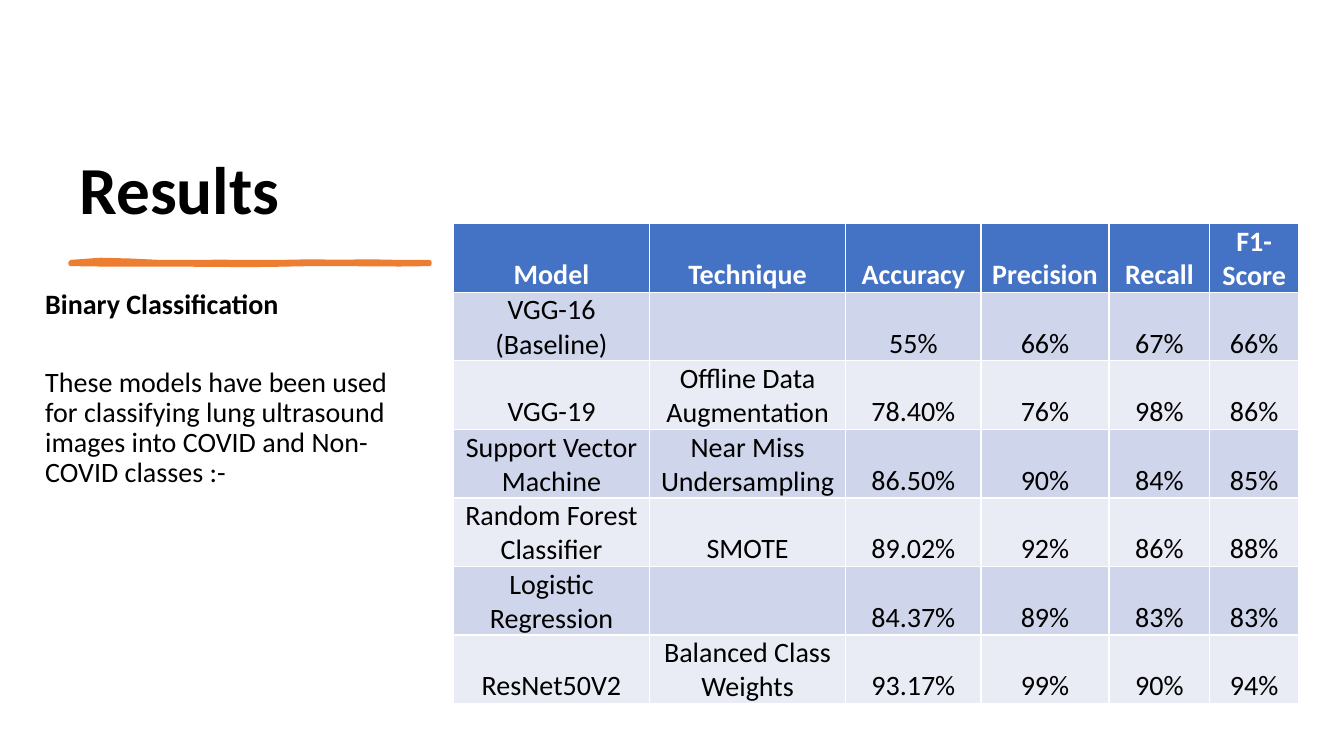
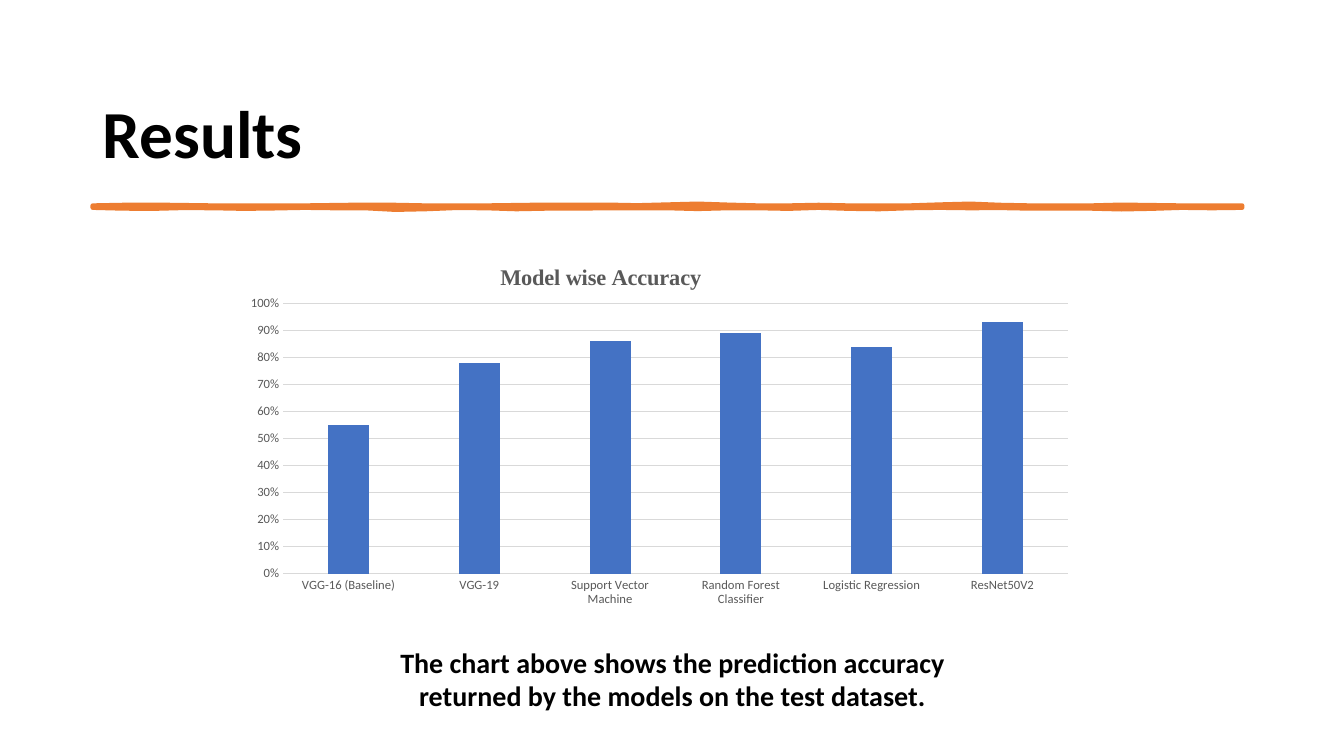
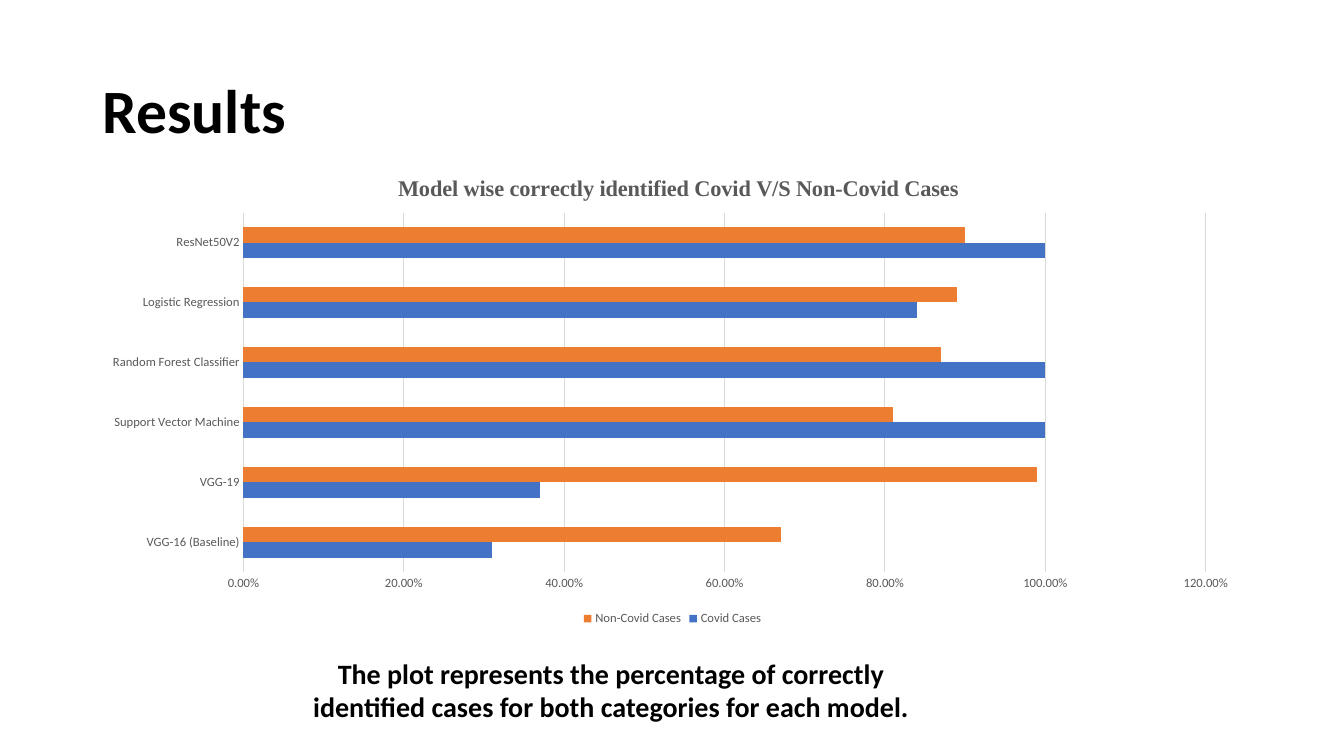
"""Build three slides of lung ultrasound classification results."""
from dataclasses import dataclass

from lxml.etree import Element, SubElement
from pptx import Presentation
from pptx.chart.data import CategoryChartData
from pptx.dml.color import RGBColor
from pptx.enum.chart import XL_CHART_TYPE, XL_LEGEND_POSITION, XL_TICK_MARK
from pptx.enum.text import MSO_ANCHOR, PP_ALIGN
from pptx.oxml.ns import qn
from pptx.util import Pt

PX = 9144


@dataclass(frozen=True)
class Theme:
    black: RGBColor = RGBColor.from_string("000000")
    white: RGBColor = RGBColor.from_string("FFFFFF")
    blue: RGBColor = RGBColor.from_string("4472C4")
    orange: RGBColor = RGBColor.from_string("ED7D31")
    gray: RGBColor = RGBColor.from_string("595959")
    grid: RGBColor = RGBColor.from_string("D9D9D9")
    dark: RGBColor = RGBColor.from_string("CFD5EA")
    light: RGBColor = RGBColor.from_string("E9EBF5")
    face: str = "Calibri"
    serif: str = "Times New Roman"
    big: int = 48
    mid: int = 44
    body: int = 20
    head: int = 16
    small: int = 10
    tick: int = 9


T = Theme()


def style(font, size, color=T.black, bold=False, face=T.face):
    font.name, font.size, font.bold = face, Pt(size), bold
    font.color.rgb = color


def pin(part, **spot):
    old = part.find(qn("c:layout"))
    if old is not None:
        part.remove(old)
    layout = Element(qn("c:layout"))
    part.insert(len(part.findall(qn("c:tx"))), layout)
    manual = SubElement(layout, qn("c:manualLayout"))
    if "w" in spot:
        SubElement(manual, qn("c:layoutTarget")).set("val", "inner")
    for key in ("x", "y"):
        SubElement(manual, qn(f"c:{key}Mode")).set("val", "edge")
    for key, value in spot.items():
        SubElement(manual, qn(f"c:{key}")).set("val", str(value))


deck = Presentation()
deck.slide_width, deck.slide_height = 1333 * PX, 750 * PX
slides = [deck.slides.add_slide(deck.slide_layouts[6]) for _ in range(3)]
first, second, third = slides

bottom, middle, top = MSO_ANCHOR.BOTTOM, MSO_ANCHOR.MIDDLE, MSO_ANCHOR.TOP
left, center = PP_ALIGN.LEFT, PP_ALIGN.CENTER
title = "Results"
intro = [
    ("Binary Classification", True),
    ("These models have been used for classifying lung ultrasound images "
     "into COVID and Non-COVID classes :-", False),
]
above = "The chart above shows the prediction accuracy returned by the models on the test dataset."
plot = "The plot represents the percentage of correctly identified cases for both categories for each model."
boxes = [
    (first, (69, 70, 527, 162), bottom, left, T.big, 0.9, [(title, True)]),
    (first, (35, 283, 379, 388), top, left, T.body, 0.9, intro),
    (second, (92, 63, 1150, 145), middle, left, T.big, 0.9, [(title, True)]),
    (second, (343, 635, 648, 77), top, center, T.body, 1.0, [(above, True)]),
    (third, (92, 40, 1150, 145), middle, left, T.mid, 0.9, [(title, True)]),
    (third, (282, 646, 648, 77), top, center, T.body, 1.0, [(plot, True)]),
]
for slide, spot, anchor, align, size, space, lines in boxes:
    frame = slide.shapes.add_textbox(*(n * PX for n in spot)).text_frame
    frame.word_wrap, frame.vertical_anchor = True, anchor
    for i, (words, bold) in enumerate(lines):
        para = frame.add_paragraph() if i else frame.paragraphs[0]
        para.text, para.alignment, para.line_spacing = words, align, space
        if i:
            para.space_before = Pt(34)
        style(para.font, size, bold=bold)

rules = [
    (first, 70, 260, 356, 3,
     [0, -22, -14, 0, 0, -2, 0, 0, -6, -2, -6, 0, 0],
     [0, 4, 4, 4, 6, 8, 10, 6, 0, 0, 2, 4, 0]),
    (second, 92, 204, 1140, 3.25,
     [0, -6, -8, -4, 0, 0, 0, 0, -4, -8, -6, 0, 0, 0, -4, -8, -6, -8, -2, -10,
      -18, -8, 0, 0, -6, 0, 0, 0, -10, -18, -6, 0, 0, 0, -8, -4, 0, 0, 0],
     [0, 8, 10, 2, 4, 10, 6, 0, 4, 4, 20, 14, 2, 4, 14, 8, 8, 4, 4, 4,
      12, 4, 4, 10, 0, 10, 14, 4, 0, 4, 2, 8, 6, 8, 16, 10, 0, 4, 0]),
]
for slide, x, y, width, weight, upper, lower in rules:
    step = width * 10 / (len(upper) - 1)
    crest = [(round(x * 10 + i * step), y * 10 + n) for i, n in enumerate(upper)]
    base = [(round(x * 10 + i * step), y * 10 + 20 + n) for i, n in enumerate(lower)]
    pen = slide.shapes.build_freeform(*crest[0], scale=PX / 10)
    pen.add_line_segments(crest[1:] + base[::-1], close=True)
    rule = pen.convert_to_shape()
    rule.shadow.inherit = False
    rule.fill.solid()
    rule.fill.fore_color.rgb = rule.line.color.rgb = T.orange
    rule.line.width = Pt(weight)

rows = [
    ("Model", "Technique", "Accuracy", "Precision", "Recall", "F1-Score"),
    ("VGG-16 (Baseline)", "", "55%", "66%", "67%", "66%"),
    ("VGG-19", "Offline Data Augmentation", "78.40%", "76%", "98%", "86%"),
    ("Support Vector Machine", "Near Miss Undersampling", "86.50%", "90%", "84%", "85%"),
    ("Random Forest Classifier", "SMOTE", "89.02%", "92%", "86%", "88%"),
    ("Logistic Regression", "", "84.37%", "89%", "83%", "83%"),
    ("ResNet50V2", "Balanced Class Weights", "93.17%", "99%", "90%", "94%"),
]
widths = [194, 195, 134, 127, 100, 88]
table = first.shapes.add_table(
    len(rows), len(widths), 450 * PX, 222 * PX, sum(widths) * PX, 68 * len(rows) * PX).table
for col, width in zip(table.columns, widths):
    col.width = width * PX
for r, row in enumerate(rows):
    for c, words in enumerate(row):
        cell = table.cell(r, c)
        cell.fill.solid()
        cell.fill.fore_color.rgb = (T.dark if r % 2 else T.light) if r else T.blue
        cell.vertical_anchor = bottom
        cell.margin_left = cell.margin_right = cell.margin_top = PX
        cell.margin_bottom = 0
        para = cell.text_frame.paragraphs[0]
        para.text, para.alignment = words, center
        style(para.font, T.body, T.black if r else T.white, not r)

models = [row[0] for row in rows[1:]]
charts = [
    (second, XL_CHART_TYPE.COLUMN_CLUSTERED, (230, 238, 846, 372),
     "Model wise Accuracy", "0%", 1, 0.1, 219, -27,
     {"x": 0.31, "y": 0.05}, {"x": 0.06, "y": 0.17, "w": 0.92, "h": 0.72},
     [("Series 1", [0.55, 0.78, 0.86, 0.89, 0.84, 0.93], T.blue)]),
    (third, XL_CHART_TYPE.BAR_CLUSTERED, (92, 149, 1150, 476),
     "Model wise correctly identified Covid V/S Non-Covid Cases", "0.00%", 1.2, 0.2, 182, 0,
     {"x": 0.26, "y": 0.04}, {"x": 0.13, "y": 0.13, "w": 0.83, "h": 0.75},
     [("Covid Cases", [0.31, 0.37, 1, 1, 0.84, 1], T.blue),
      ("Non-Covid Cases", [0.67, 0.99, 0.81, 0.87, 0.89, 0.9], T.orange)]),
]
for slide, kind, spot, words, form, high, unit, gap, lap, name, area, series in charts:
    data = CategoryChartData(number_format=form)
    data.categories = models
    for label, values, _ in series:
        data.add_series(label, values)
    chart = slide.shapes.add_chart(kind, *(n * PX for n in spot), data).chart
    style(chart.font, T.small)
    chart.has_title = True
    para = chart.chart_title.text_frame.paragraphs[0]
    para.text = words
    style(para.font, T.head, T.gray, True, T.serif)
    pin(chart.chart_title.element, **name)
    pin(chart.element.find(".//" + qn("c:plotArea")), **area)
    chart.has_legend = len(series) > 1
    if chart.has_legend:
        chart.legend.position = XL_LEGEND_POSITION.BOTTOM
        chart.legend.include_in_layout = False
        style(chart.legend.font, T.tick, T.gray)
    bars = chart.plots[0]
    bars.gap_width, bars.overlap, bars.vary_by_categories = gap, lap, False
    for run, (_, _, color) in zip(bars.series, series):
        run.format.fill.solid()
        run.format.fill.fore_color.rgb = color
    cats, vals = chart.category_axis, chart.value_axis
    for axis in (cats, vals):
        axis.major_tick_mark = axis.minor_tick_mark = XL_TICK_MARK.NONE
        style(axis.tick_labels.font, T.tick, T.gray)
    vals.minimum_scale, vals.maximum_scale, vals.major_unit = 0, high, unit
    vals.tick_labels.number_format = form
    vals.tick_labels.number_format_is_linked = False
    vals.format.line.fill.background()
    vals.has_major_gridlines = True
    for line in (cats.format.line, vals.major_gridlines.format.line):
        line.color.rgb, line.width = T.grid, Pt(0.75)

deck.save("out.pptx")
